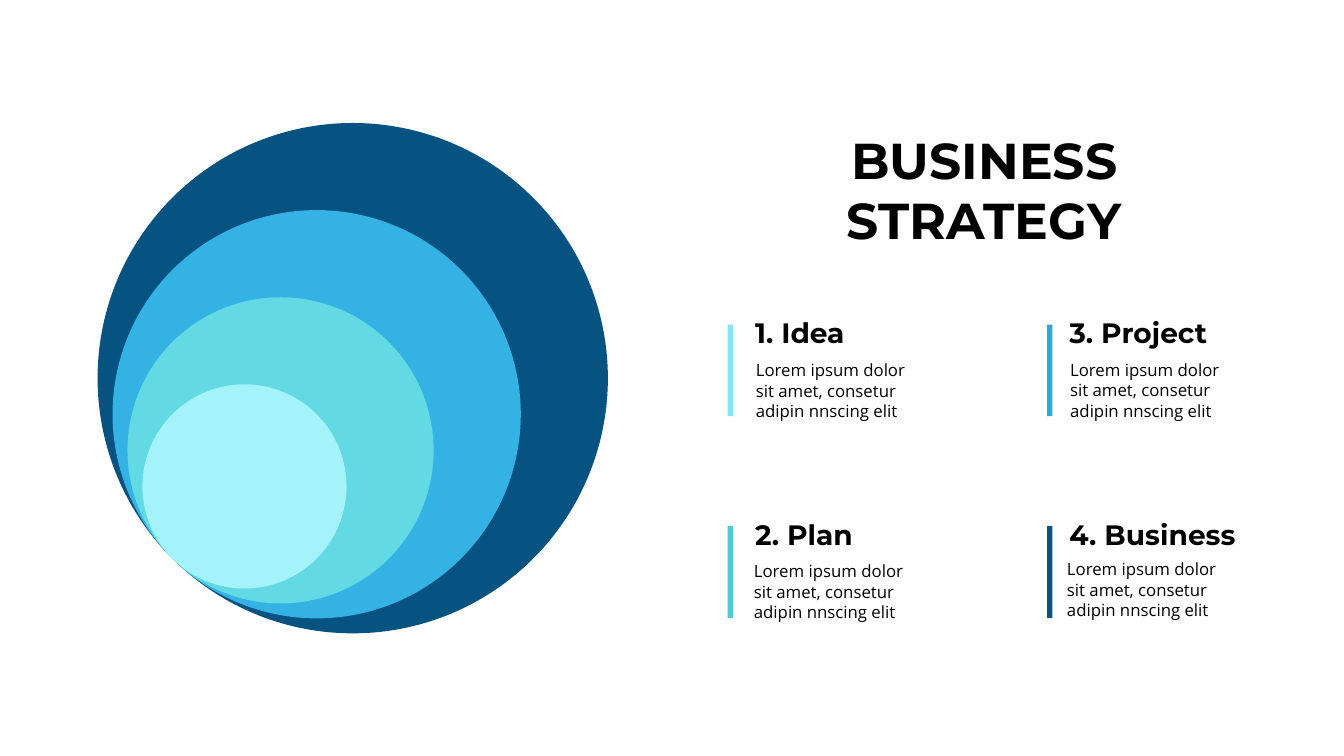
from collections import namedtuple
from math import sqrt

from pptx import Presentation
from pptx.dml.color import RGBColor
from pptx.enum.shapes import MSO_SHAPE as Preset
from pptx.enum.text import PP_ALIGN as Align
from pptx.util import Cm, Pt

BLACK = RGBColor(0x00, 0x00, 0x00)
NAVY = RGBColor(0x06, 0x52, 0x80)
SKY = RGBColor(0x34, 0xB2, 0xE3)
TURQUOISE = RGBColor(0x62, 0xD9, 0xE3)
ICE = RGBColor(0xA5, 0xF3, 0xFA)
IDEA_BAR = RGBColor(0x87, 0xE5, 0xED)
PLAN_BAR = RGBColor(0x55, 0xC8, 0xD1)
PROJECT_BAR = RGBColor(0x31, 0xA8, 0xD6)

HEADING_FONT = "Montserrat"
BODY_FONT = "Open Sans"
BODY = "Lorem ipsum dolor sit amet, consetur adipin nnscing elit"

Box = namedtuple("Box", "left top width height")
Step = namedtuple("Step", "heading color heading_width heading_dx body_dx body_dy")

COLUMNS = (18.34, 26.39)
ROWS = (8.18, 13.26)
STEPS = (
    Step("1. Idea", IDEA_BAR, 3.66, 0.69, 0.46, 0.76),
    Step("2. Plan", PLAN_BAR, 3.05, 0.69, 0.41, 0.74),
    Step("3. Project", PROJECT_BAR, 4.09, 0.56, 0.33, 0.74),
    Step("4. Business", NAVY, 4.52, 0.56, 0.25, 0.69),
)


def add_solid(shapes, preset, box, color):
    solid = shapes.add_shape(preset, *map(Cm, box))
    solid.shadow.inherit = False
    solid.fill.solid()
    solid.fill.fore_color.rgb = color
    solid.line.fill.background()


def add_text(shapes, box, text, font, size, bold=False, align=Align.LEFT,
             inset=(0, 0), spacing=None):
    frame = shapes.add_textbox(*map(Cm, box)).text_frame
    frame.word_wrap = True
    frame.margin_left = frame.margin_right = Cm(inset[0])
    frame.margin_top = frame.margin_bottom = Cm(inset[1])
    paragraph = frame.paragraphs[0]
    paragraph.alignment = align
    if spacing:
        paragraph.line_spacing = spacing
    run = paragraph.add_run()
    run.text = text
    run.font.name = font
    run.font.size = Pt(size)
    run.font.bold = bold
    run.font.color.rgb = BLACK


def add_nested_circles(shapes, box):
    outer_radius = box.width / 2
    touch_x = box.left + outer_radius * (1 - 1 / sqrt(2))
    touch_y = box.top + outer_radius * (1 + 1 / sqrt(2))
    for level, color in enumerate((NAVY, SKY, TURQUOISE, ICE)):
        radius = outer_radius * (5 - level) / 5
        left = touch_x + radius / sqrt(2) - radius
        top = touch_y - radius / sqrt(2) - radius
        add_solid(shapes, Preset.OVAL, Box(left, top, 2 * radius, 2 * radius), color)


def add_title(shapes, box):
    add_text(shapes, box, "BUSINESS STRATEGY", HEADING_FONT, 36, True, Align.CENTER)


def add_step(shapes, box, step):
    parts = shapes.add_group_shape().shapes
    add_solid(parts, Preset.RECTANGLE, Box(box.left, box.top, 0.13, box.height), step.color)
    heading = Box(box.left + step.heading_dx, box.top - 0.23, step.heading_width, 1.17)
    add_text(parts, heading, step.heading, HEADING_FONT, 20, True)
    body = Box(box.left + step.body_dx, box.top + step.body_dy, box.width, 1.8)
    add_text(parts, body, BODY, BODY_FONT, 12, inset=(0.25, 0.13), spacing=Pt(14.6))


def add_steps(shapes):
    for index, step in enumerate(STEPS):
        column, row = divmod(index, len(ROWS))
        add_step(shapes, Box(COLUMNS[column], ROWS[row], 4.47, 2.31), step)


def main():
    deck = Presentation()
    deck.slide_width, deck.slide_height = Cm(33.87), Cm(19.05)
    shapes = deck.slides.add_slide(deck.slide_layouts[6]).shapes
    add_nested_circles(shapes, Box(2.46, 3.1, 12.86, 12.86))
    add_title(shapes, Box(17.91, 3.25, 13.79, 1.55))
    add_steps(shapes)
    deck.save("out.pptx")


if __name__ == "__main__":
    main()
